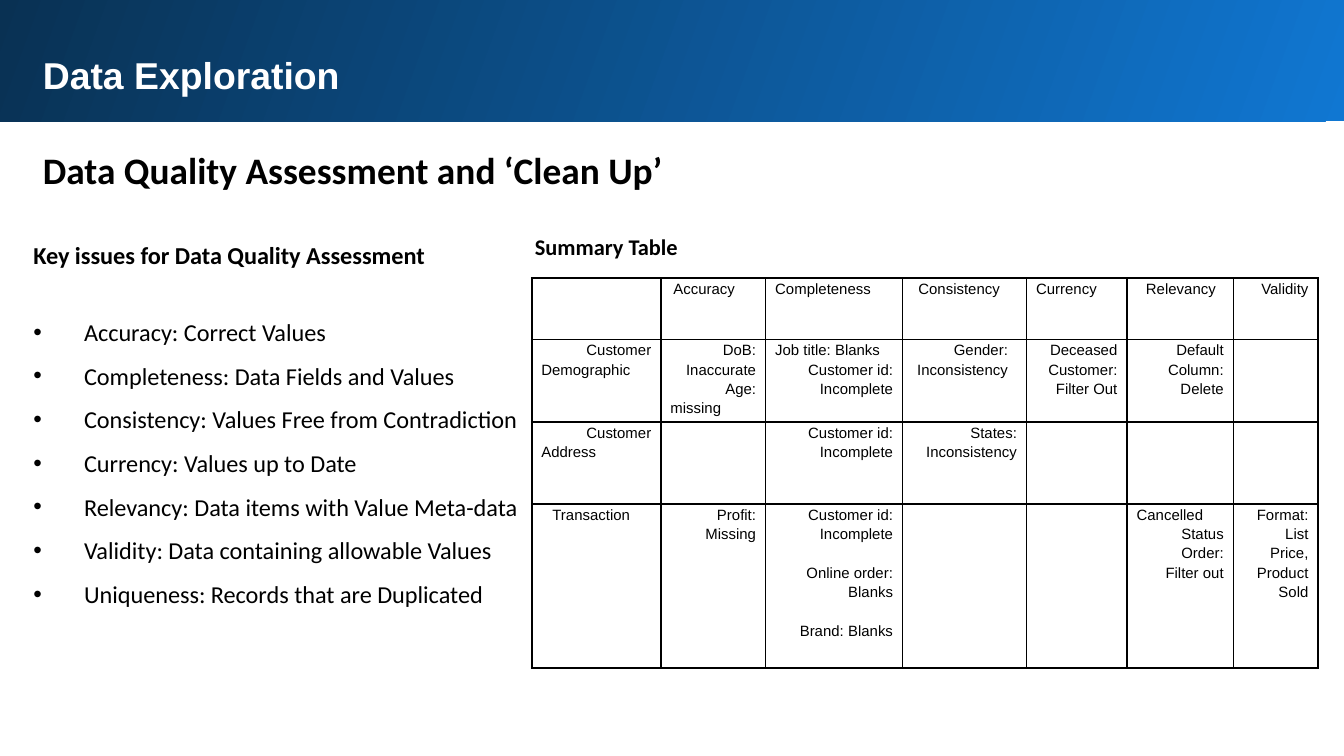
from lxml import etree
from pptx import Presentation
from pptx.dml.color import RGBColor
from pptx.enum.shapes import MSO_SHAPE
from pptx.enum.text import MSO_ANCHOR, PP_ALIGN
from pptx.oxml.ns import qn
from pptx.util import Cm, Pt

RECT = MSO_SHAPE.RECTANGLE
TOP = MSO_ANCHOR.TOP
LEFT, RIGHT = PP_ALIGN.LEFT, PP_ALIGN.RIGHT

THEME = {
    "black": RGBColor(0, 0, 0),
    "white": RGBColor(255, 255, 255),
    "band": [RGBColor(0x10, 0x77, 0xD2), RGBColor(0x09, 0x31, 0x53)],
    "title": 20, "body": 13, "label": 12, "cell": 8,
    "head_font": "Arial", "body_font": "Calibri",
}


def add_line(p, text, size, font, color=THEME["black"], bold=False, **layout):
    for name, value in layout.items():
        setattr(p, name, value)
    r = p.add_run()
    r.text = text
    for name, value in {"size": Pt(size), "name": font, "bold": bold}.items():
        setattr(r.font, name, value)
    r.font.color.rgb = color


def add_box(left, top, width, height, inset=0.25):
    tf = slide.shapes.add_textbox(Cm(left), Cm(top), Cm(width), Cm(height)).text_frame
    for name, value in {"word_wrap": True, "vertical_anchor": TOP,
                        "margin_top": Cm(inset), "margin_bottom": Cm(inset)}.items():
        setattr(tf, name, value)
    return tf


prs = Presentation()
prs.slide_width, prs.slide_height = Cm(25.4), Cm(14.29)
slide = prs.slides.add_slide(prs.slide_layouts[6])

# Header band
sp = slide.shapes.add_shape(RECT, Cm(-0.05), Cm(-0.05), Cm(25.53), Cm(2.34))
sp.shadow.inherit = False
sp.line.fill.background()
sp.fill.gradient()
sp.fill.gradient_angle = 160
for stop, color in zip(sp.fill.gradient_stops, THEME["band"]):
    stop.color.rgb = color

# Headings
tf = add_box(0.56, 0.74, 23.8, 1.3)
add_line(tf.paragraphs[0], "Data Exploration", THEME["title"], THEME["head_font"],
         THEME["white"], bold=True)
tf = add_box(0.56, 2.41, 23.8, 1.45)
add_line(tf.paragraphs[0], "Data Quality Assessment and ‘Clean Up’", THEME["title"],
         THEME["body_font"], bold=True, line_spacing=1.15)

# Key issues
issues = [
    "Accuracy: Correct Values",
    "Completeness: Data Fields and Values",
    "Consistency: Values Free from Contradiction",
    "Currency: Values up to Date",
    "Relevancy: Data items with Value Meta-data",
    "Validity: Data containing allowable Values",
    "Uniqueness: Records that are Duplicated",
]
tf = add_box(0.38, 4.01, 11.48, 8.76)
add_line(tf.paragraphs[0], "Key issues for Data Quality Assessment", THEME["body"],
         THEME["body_font"], bold=True, line_spacing=1.5, space_after=Pt(18))
for issue in issues:
    p = tf.add_paragraph()
    add_line(p, issue, THEME["body"], THEME["body_font"], line_spacing=1.5)
    pPr = p._p.get_or_add_pPr()
    pPr.set("marL", str(Cm(0.96)))
    pPr.set("indent", str(Cm(-0.96)))
    etree.SubElement(pPr, qn("a:buFont"), typeface="Arial")
    etree.SubElement(pPr, qn("a:buChar"), char="•")

# Summary table: lines of a cell are split by "|"
rows = [
    ["", "Accuracy", "Completeness", "Consistency", "Currency", "Relevancy", "Validity"],
    ["Customer|Demographic", "DoB:|Inaccurate|Age:|missing",
     "Job title: Blanks|Customer id:|Incomplete", "Gender:|Inconsistency",
     "Deceased|Customer:|Filter Out", "Default|Column:|Delete", ""],
    ["Customer|Address", "", "Customer id:|Incomplete", "States:|Inconsistency", "", "", ""],
    ["Transaction", "Profit:|Missing", "Customer id:|Incomplete|Online order:|Blanks|Brand: Blanks",
     "", "", "Cancelled|Status|Order:|Filter out", "Format:|List|Price,|Product|Sold"],
]
left_lines = {"Completeness", "Currency", "Demographic", "Address", "missing",
              "Job title: Blanks", "Cancelled"}
spaced_lines = {"Online order:", "Brand: Blanks"}
extra_right = {(0, 1): 0.4, (0, 3): 0.32, (0, 5): 0.15, (1, 3): 0.17, (3, 0): 0.4}
col_widths = [2.44, 1.98, 2.59, 2.34, 1.9, 2.01, 1.6]
row_heights = [1.16, 1.56, 1.55, 3.1]

frame = slide.shapes.add_table(len(rows), len(col_widths), Cm(10.05), Cm(5.26),
                               Cm(sum(col_widths)), Cm(sum(row_heights)))
table = frame.table
table.first_row = table.horz_banding = False
for col, width in zip(table.columns, col_widths):
    col.width = Cm(width)
for row, height in zip(table.rows, row_heights):
    row.height = Cm(height)

for i, row in enumerate(rows):
    for j, text in enumerate(row):
        cell = table.cell(i, j)
        cell.fill.background()
        cell.margin_left = Cm(0.18)
        cell.margin_right = Cm(0.18 + extra_right.get((i, j), 0))
        cell.margin_top = cell.margin_bottom = 0
        tcPr = cell._tc.get_or_add_tcPr()
        for k, side in enumerate(["a:lnL", "a:lnR", "a:lnT", "a:lnB"]):
            ln = etree.Element(qn(side), w=str(Pt(1)))
            fill = etree.SubElement(ln, qn("a:solidFill"))
            etree.SubElement(fill, qn("a:srgbClr"), val=str(THEME["black"]))
            tcPr.insert(k, ln)
        if not text:
            continue
        tf = cell.text_frame
        for k, line in enumerate(text.split("|")):
            p = tf.add_paragraph() if k else tf.paragraphs[0]
            add_line(p, line, THEME["cell"], THEME["head_font"], line_spacing=1.15,
                     alignment=LEFT if line in left_lines else RIGHT,
                     space_before=Pt(10.5 if line in spaced_lines else 0))

# Table label
tf = add_box(9.86, 4.27, 10.64, 0.8, inset=0.13)
add_line(tf.paragraphs[0], "Summary Table", THEME["label"], THEME["body_font"], bold=True)

prs.save("out.pptx")
